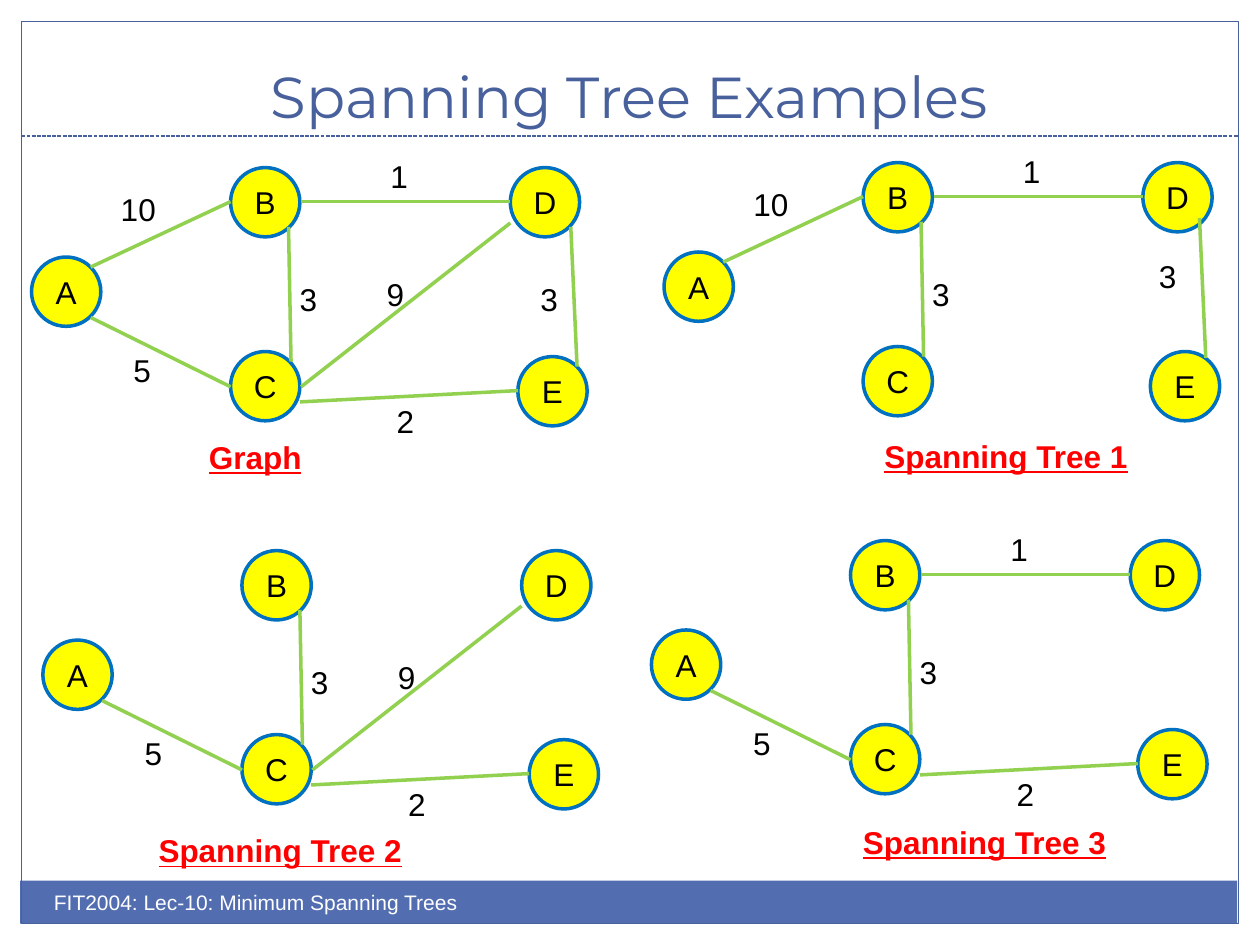
from dataclasses import dataclass, field

from lxml.etree import SubElement
from pptx import Presentation
from pptx.dml.color import RGBColor
from pptx.enum.dml import MSO_LINE_DASH_STYLE as Dash
from pptx.enum.shapes import MSO_CONNECTOR as Connector, MSO_SHAPE as Shape
from pptx.enum.text import MSO_ANCHOR as Anchor, MSO_AUTO_SIZE as AutoSize, PP_ALIGN as Align
from pptx.oxml.ns import qn
from pptx.util import Emu, Inches, Pt

NAVY = RGBColor(0x48, 0x60, 0x9B)
BAND_BLUE = RGBColor(0x52, 0x6D, 0xB0)
NODE_BLUE = RGBColor(0x00, 0x70, 0xC0)
YELLOW = RGBColor(0xFF, 0xFF, 0x00)
GREEN = RGBColor(0x92, 0xD0, 0x50)
RED = RGBColor(0xFF, 0x00, 0x00)
BLACK = RGBColor(0x00, 0x00, 0x00)
WHITE = RGBColor(0xFF, 0xFF, 0xFF)

# The slide is a grid of 1000 columns by 750 rows of square cells.
COLUMNS, ROWS = 1000, 750
CELL = Inches(10) // COLUMNS
NODE_SIZE = 55
TEXT_HEIGHT = 40


@dataclass(frozen=True)
class Edge:
    """An edge with its end points, and its weight with the label's corner."""
    start: tuple[int, int]
    end: tuple[int, int]
    weight: str
    label: tuple[int, int]


@dataclass(frozen=True)
class Panel:
    """One drawing of the graph: origin, edges shown and caption."""
    origin: tuple[int, int]
    edges: str
    caption: str
    caption_at: tuple[int, int, int]
    changes: dict[str, Edge] = field(default_factory=dict)


NODES = {"A": (0, 71), "B": (158, 0), "C": (158, 146), "D": (380, 0), "E": (386, 150)}
EDGES = {
    "AB": Edge((47, 79), (158, 27), "10", (61, 13)),
    "AC": Edge((47, 119), (158, 174), "5", (71, 141)),
    "BD": Edge((214, 27), (380, 27), "1", (275, -13)),
    "DE": Edge((433, 158), (428, 47), "3", (394, 84)),
    "CD": Edge((214, 174), (380, 44), "9", (272, 80)),
    "BC": Edge((206, 154), (204, 47), "3", (203, 84)),
    "CE": Edge((213, 186), (386, 177), "2", (280, 181)),
}
PANELS = [
    Panel((25, 133), "AB AC BD DE CD BC CE", "Graph", (156, 343, 94)),
    Panel((527, 129), "AB BD BC DE", "Spanning Tree 1", (692, 342, 215),
          {"DE": Edge((430, 155), (425, 44), "3", (383, 70))}),
    Panel((34, 437), "AC CD BC CE", "Spanning Tree 2", (116, 655, 215)),
    Panel((517, 429), "AC BD BC CE", "Spanning Tree 3", (675, 648, 215)),
]


def cells(*counts: int) -> list[Emu]:
    """Turn counts of grid cells into lengths."""
    return [Emu(count * CELL) for count in counts]


def format_text(frame, text: str, size: int, color: RGBColor, font: str = "Arial"):
    """Set the text of a frame and return the font of its run."""
    frame.text = text
    run_font = frame.paragraphs[0].runs[0].font
    run_font.name, run_font.size, run_font.color.rgb = font, Pt(size), color
    return run_font


def add_label(shapes, text: str, left: int, top: int, width: int,
              size: int = 18, color: RGBColor = BLACK):
    """Add a one-line text box and return its font."""
    box = shapes.add_textbox(*cells(left, top, width, TEXT_HEIGHT))
    box.text_frame.word_wrap = False
    return format_text(box.text_frame, text, size, color)


def add_line(shapes, start: tuple[int, int], end: tuple[int, int],
             color: RGBColor, width: float):
    """Add a straight line without a shadow."""
    line = shapes.add_connector(Connector.STRAIGHT, *cells(*start, *end))
    line.line.color.rgb, line.line.width = color, Pt(width)
    SubElement(line._element.spPr, qn("a:effectLst"))
    return line


def add_node(shapes, name: str, left: int, top: int) -> None:
    """Add a named circle."""
    node = shapes.add_shape(Shape.OVAL, *cells(left, top, NODE_SIZE, NODE_SIZE))
    node.shadow.inherit = False
    node.fill.solid()
    node.fill.fore_color.rgb = YELLOW
    node.line.color.rgb, node.line.width = NODE_BLUE, Pt(2)
    frame = node.text_frame
    frame.word_wrap = False
    frame.vertical_anchor = Anchor.MIDDLE
    format_text(frame, name, 18, BLACK)
    frame.paragraphs[0].alignment = Align.CENTER


def add_panel(slide, panel: Panel) -> None:
    """Draw the nodes, chosen edges, weights and caption of a panel."""
    shapes = slide.shapes.add_group_shape().shapes
    left, top = panel.origin

    def place(point: tuple[int, int]) -> tuple[int, int]:
        """Move a point from the panel to the slide."""
        return left + point[0], top + point[1]

    for name, corner in NODES.items():
        add_node(shapes, name, *place(corner))
    edges = [(EDGES | panel.changes)[name] for name in panel.edges.split()]
    for edge in edges:
        add_line(shapes, place(edge.start), place(edge.end), GREEN, 2)
    for edge in edges:
        add_label(shapes, edge.weight, *place(edge.label), 20 + 14 * len(edge.weight))
    font = add_label(slide.shapes, panel.caption, *panel.caption_at, color=RED)
    font.bold = font.underline = True


def add_frame(slide) -> None:
    """Draw the footer band, the border and the rule under the title."""
    band = slide.shapes.add_shape(Shape.RECTANGLE, *cells(16, 699, 966, 34))
    band.fill.solid()
    band.fill.fore_color.rgb = BAND_BLUE
    band.line.fill.background()
    border = slide.shapes.add_shape(Shape.RECTANGLE, *cells(17, 17, 966, 716))
    border.fill.background()
    border.line.color.rgb, border.line.width = NAVY, Pt(0.75)
    for shape in (band, border):
        shape.shadow.inherit = False
    rule = add_line(slide.shapes, (17, 108), (983, 108), NAVY, 0.75)
    rule.line.dash_style = Dash.SQUARE_DOT
    add_label(slide.shapes, "FIT2004: Lec-10: Minimum Spanning Trees", 33, 701, 500, 12, WHITE)


def add_title(slide, text: str) -> None:
    """Place and format the title placeholder."""
    title = slide.shapes.title
    title.left, title.top, title.width, title.height = cells(33, 25, 933, 83)
    frame = title.text_frame
    frame.auto_size = AutoSize.NONE
    frame.vertical_anchor = Anchor.BOTTOM
    format_text(frame, text, 33, NAVY, "Montserrat")
    frame.paragraphs[0].alignment = Align.CENTER


def main() -> None:
    """Build and save the slide."""
    presentation = Presentation()
    presentation.slide_width, presentation.slide_height = cells(COLUMNS, ROWS)
    slide = presentation.slides.add_slide(presentation.slide_layouts[5])
    add_frame(slide)
    add_title(slide, "Spanning Tree Examples")
    for panel in PANELS:
        add_panel(slide, panel)
    presentation.save("out.pptx")


main()
